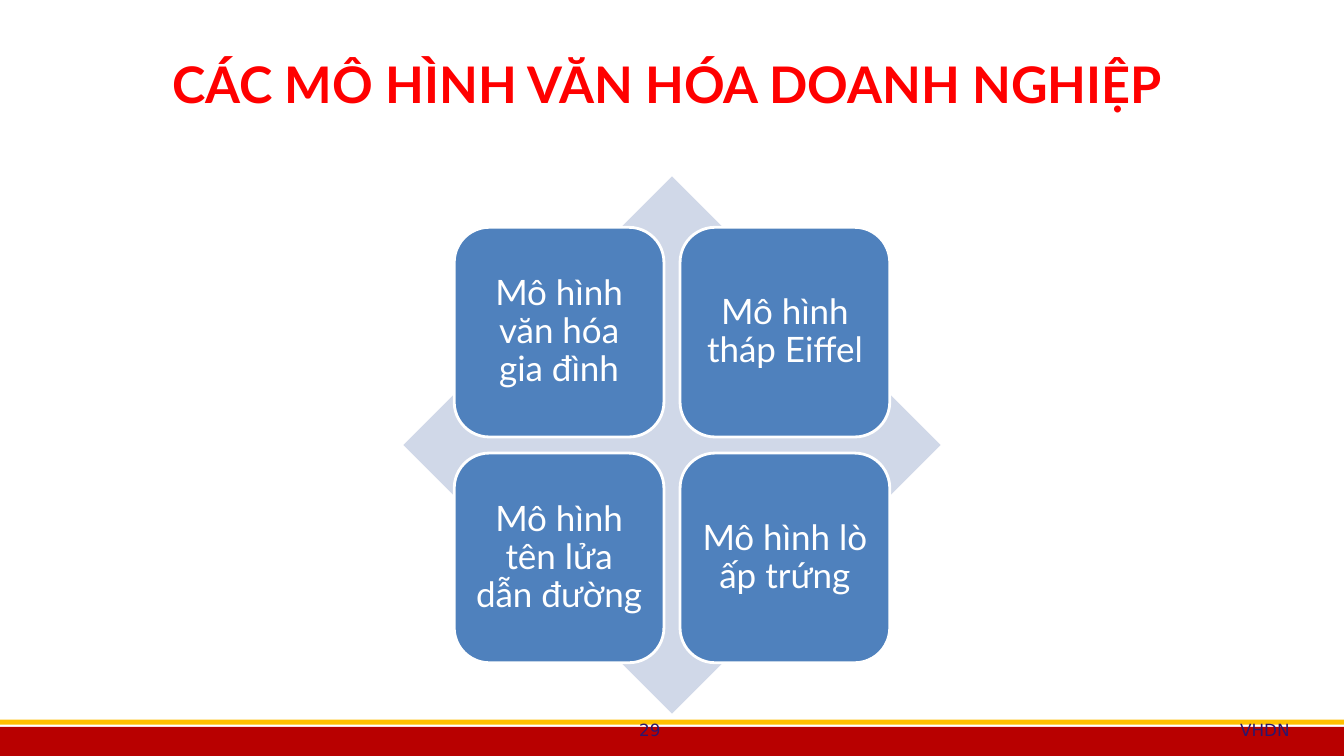
from dataclasses import dataclass

from pptx import Presentation
from pptx.dml.color import RGBColor
from pptx.enum.shapes import MSO_SHAPE
from pptx.enum.text import MSO_ANCHOR, PP_ALIGN
from pptx.util import Inches, Pt

RECT, DIAMOND, ROUND = MSO_SHAPE.RECTANGLE, MSO_SHAPE.DIAMOND, MSO_SHAPE.ROUNDED_RECTANGLE
TOP, MIDDLE = MSO_ANCHOR.TOP, MSO_ANCHOR.MIDDLE
CENTER, RIGHT = PP_ALIGN.CENTER, PP_ALIGN.RIGHT


@dataclass(frozen=True)
class Theme:
    white: str = "FFFFFF"
    title: str = "FF0000"
    band: str = "B80000"
    stripe: str = "FFC000"
    back: str = "D0D8E8"
    tile: str = "4F81BD"
    note: str = "2B166E"
    font: str = "Lato"
    small_font: str = "DejaVu Sans"
    title_size: int = 36
    tile_size: int = 25
    note_size: int = 12


THEME = Theme()
MODELS = [
    "Mô hình văn hóa gia đình", "Mô hình tháp Eiffel",
    "Mô hình tên lửa dẫn đường", "Mô hình lò ấp trứng",
]


def add_box(slide, kind, box, fill, line=None):
    shape = slide.shapes.add_shape(kind, *map(Inches, box))
    shape.shadow.inherit = False
    shape.fill.solid()
    shape.fill.fore_color.rgb = RGBColor.from_string(fill)
    if line:
        shape.line.color.rgb = RGBColor.from_string(line)
        shape.line.width = Pt(2)
    else:
        shape.line.fill.background()
    return shape


def write(shape, text, font, size, color, align=CENTER, anchor=MIDDLE,
          pad=0.05, bold=False, spacing=None):
    frame = shape.text_frame
    frame.word_wrap = True
    frame.vertical_anchor = anchor
    frame.margin_left = frame.margin_right = Inches(0.1)
    frame.margin_top = frame.margin_bottom = Inches(pad)
    para = frame.paragraphs[0]
    para.alignment = align
    if spacing:
        para.line_spacing = spacing
    run = para.add_run()
    run.text = text
    run.font.name = font
    run.font.size = Pt(size)
    run.font.bold = bold
    run.font.color.rgb = RGBColor.from_string(color)


def add_title(slide, box):
    label = slide.shapes.add_textbox(*map(Inches, box))
    write(label, "CÁC MÔ HÌNH VĂN HÓA DOANH NGHIỆP ", THEME.font,
          THEME.title_size, THEME.title, bold=True)


def add_matrix(slide, box):
    left, top, width, height = box
    add_box(slide, DIAMOND, box, THEME.back)
    # Four tiles, centred on the diamond
    side, gap = 2.08, 0.16
    step = side + gap
    x = left + (width - side - step) / 2
    y = top + (height - side - step) / 2
    for i, name in enumerate(MODELS):
        row, col = divmod(i, 2)
        place = (x + col * step, y + row * step, side, side)
        tile = add_box(slide, ROUND, place, THEME.tile, THEME.white)
        write(tile, name, THEME.font, THEME.tile_size, THEME.white,
              pad=0.1, spacing=0.9)


def add_footer(slide, box):
    left, top, width, height = box
    # Red band with a yellow stripe above
    add_box(slide, RECT, (left, top + 0.12, width, 0.31), THEME.band)
    add_box(slide, RECT, (left, top + 0.05, width, 0.05), THEME.stripe)
    # Page number and course code
    notes = [("29", 4.89, 3.11, CENTER), ("VHDN", 8.67, 4.22, RIGHT)]
    for text, x, wide, align in notes:
        label = slide.shapes.add_textbox(
            *map(Inches, (left + x, top, wide, height)))
        write(label, text, THEME.small_font, THEME.note_size, THEME.note,
              align=align, anchor=TOP)


def main():
    deck = Presentation()
    deck.slide_width, deck.slide_height = Inches(13.33), Inches(7.5)
    slide = deck.slides.add_slide(deck.slide_layouts[6])
    add_footer(slide, (0, 7.09, 13.33, 0.35))
    add_title(slide, (0.29, 0.35, 12.76, 0.96))
    add_matrix(slide, (4, 1.75, 5.33, 5.33))
    deck.save("out.pptx")


if __name__ == "__main__":
    main()
